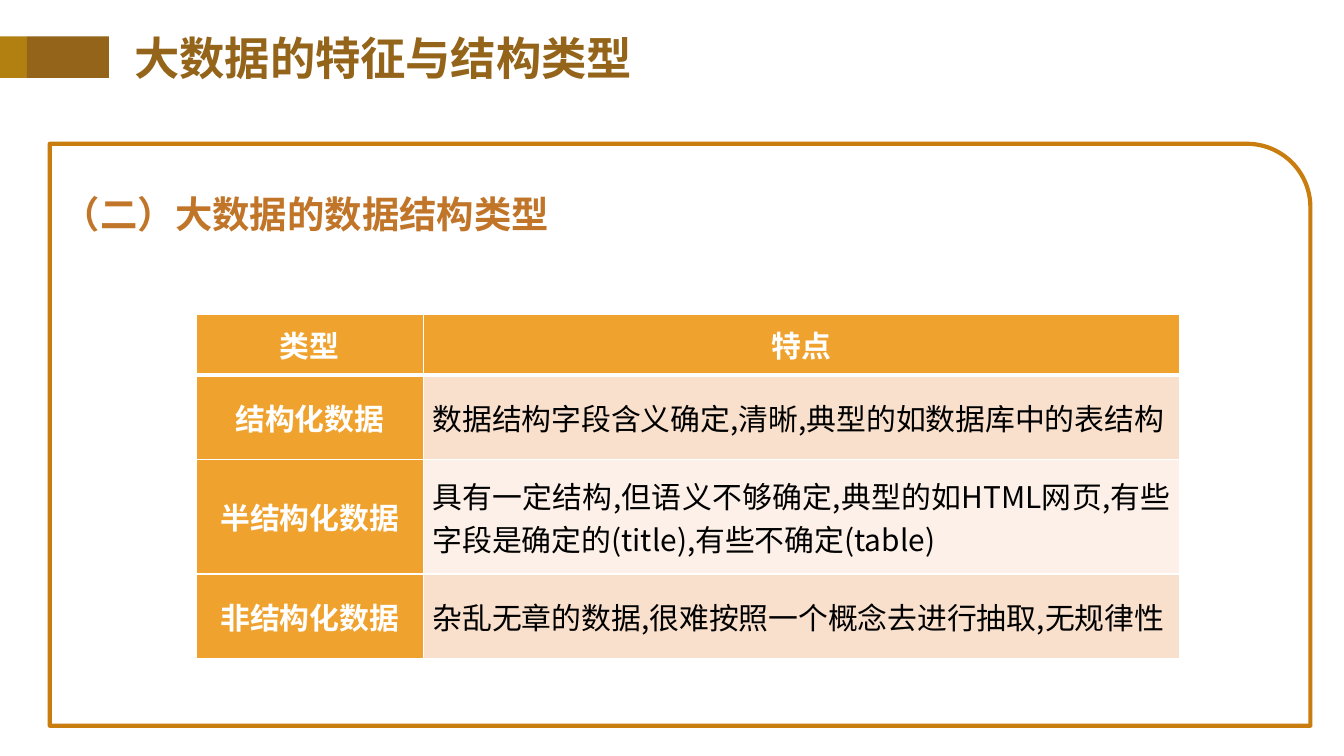
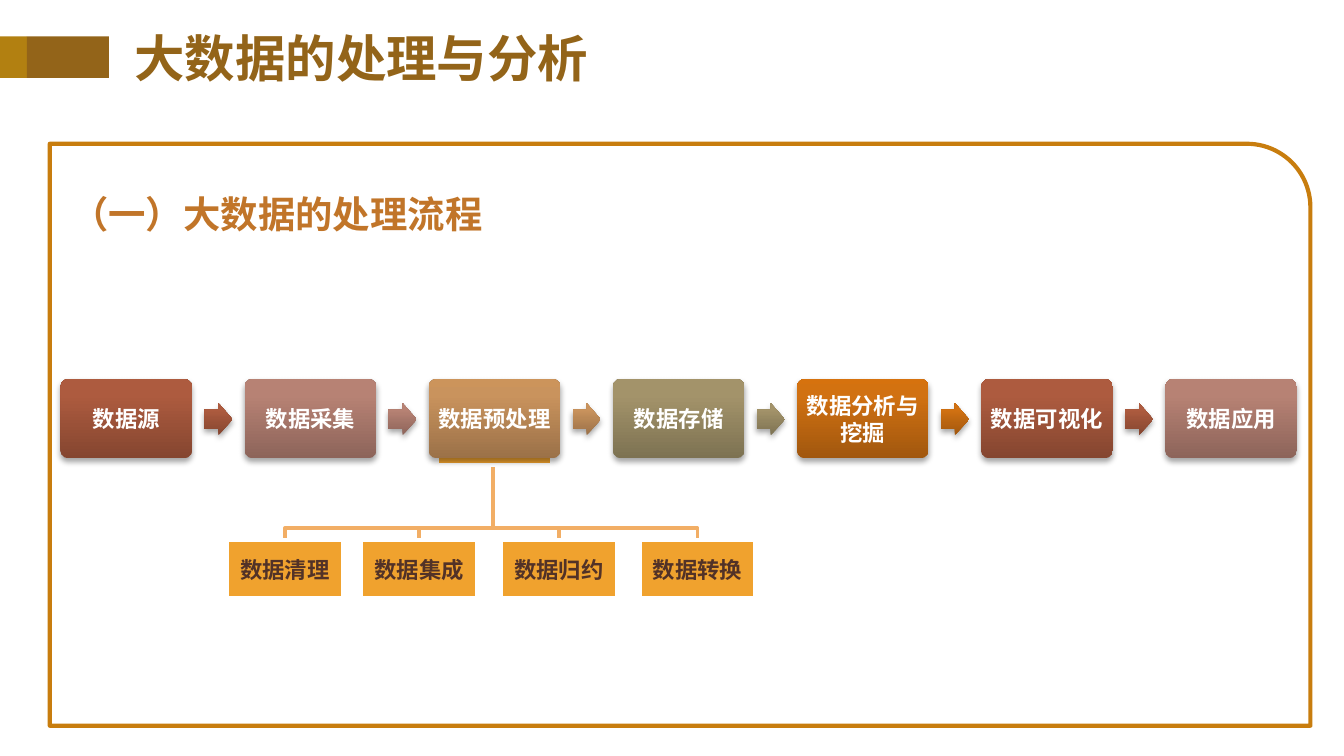
"""Build two slides on big data structure types and processing flow."""
import pptx
import pptx.util
import pptx.dml.color
import pptx.enum.shapes
import pptx.enum.text
import pptx.oxml
import pptx.oxml.ns
from lxml import etree

Inches, Pt = pptx.util.Inches, pptx.util.Pt
Shape = pptx.enum.shapes.MSO_SHAPE
Align = pptx.enum.text.PP_ALIGN
Anchor = pptx.enum.text.MSO_ANCHOR
qn = pptx.oxml.ns.qn

FONT = "Noto Sans CJK SC"
COLORS = {
    "gold": "B28011", "brown": "936419", "frame": "C87D0E", "heading": "C17529",
    "amber": "F0A22E", "branch": "F2AE65", "white": "FFFFFF", "black": "000000",
    "dark": "523227", "row_odd": "F9E0CD", "row_even": "FCF0E8",
}
GRADIENTS = [
    ("854630", "AD5B3F", "AF5A3D"),
    ("8D645A", "B78274", "B98274"),
    ("9B7148", "C9935D", "CC945B"),
    ("7D7252", "A3936A", "A49569"),
    ("A1570E", "D17112", "D6720E"),
]

STRUCTURE_TITLE = ("大数据的特征与结构类型", 24.3)
STRUCTURE_HEADING = "（二）大数据的数据结构类型"
STRUCTURE_TYPES = [
    ("类型", "特点"),
    ("结构化数据", "数据结构字段含义确定,清晰,典型的如数据库中的表结构"),
    ("半结构化数据", "具有一定结构,但语义不够确定,典型的如HTML网页,"
                 "有些字段是确定的(title),有些不确定(table)"),
    ("非结构化数据", "杂乱无章的数据,很难按照一个概念去进行抽取,无规律性"),
]
COLUMN_WIDTHS = [1.69, 5.63]
ROW_HEIGHTS = [0.45, 0.63, 0.85, 0.63]

PROCESS_TITLE = ("大数据的处理与分析", 27)
PROCESS_HEADING = "（一）大数据的处理流程"
STEPS = ["数据源", "数据采集", "数据预处理", "数据存储",
         "数据分析与挖掘", "数据可视化", "数据应用"]
PREPARATIONS = [("数据清理", 1.69), ("数据集成", 2.69),
                ("数据归约", 3.73), ("数据转换", 4.76)]
STEP_LEFT, STEP_TOP, STEP_PITCH = 0.45, 2.82, 1.37
STEP_WIDTH, STEP_HEIGHT = 0.98, 0.59
TASK_WIDTH, TASK_HEIGHT, TASK_TOP = 0.86, 0.43, 4.02
TRUNK_X, TRUNK_TOP, FORK_Y = 3.67, 3.46, 3.93


def rgb(name):
    return pptx.dml.color.RGBColor.from_string(COLORS[name])


def write(frame, text, size, color, bold=True, align=Align.LEFT,
          anchor=Anchor.MIDDLE):
    frame.text = text
    frame.word_wrap = True
    frame.vertical_anchor = anchor
    style(frame.paragraphs[0], size, color, bold, align)


def style(paragraph, size, color, bold, align):
    paragraph.alignment = align
    font = paragraph.font
    font.name, font.size, font.bold = FONT, Pt(size), bold
    font.color.rgb = rgb(color)
    defaults = paragraph._p.pPr.find(qn("a:defRPr"))
    etree.SubElement(defaults, qn("a:ea"), typeface=FONT)


def set_insets(frame, inset):
    frame.margin_left = frame.margin_right = Inches(inset)
    frame.margin_top = frame.margin_bottom = Inches(inset)


def add_box(slide, kind, box, fill=None, line=None, line_width=2):
    shape = slide.shapes.add_shape(kind, *map(Inches, box))
    shape.shadow.inherit = False
    paint(shape, fill, line, line_width)
    return shape


def paint(shape, fill, line, line_width):
    if fill:
        shape.fill.solid()
        shape.fill.fore_color.rgb = rgb(fill)
    else:
        shape.fill.background()
    if line:
        shape.line.color.rgb = rgb(line)
        shape.line.width = Pt(line_width)
    else:
        shape.line.fill.background()


def add_raised(slide, kind, box, gradient):
    shape = add_box(slide, kind, box)
    properties = shape._element.spPr
    stops = "".join(
        f'<a:gs pos="{position}"><a:srgbClr val="{color}"/></a:gs>'
        for position, color in zip((0, 80000, 100000), gradient))
    namespace = pptx.oxml.ns.nsdecls("a")
    properties.replace(properties.find(qn("a:noFill")), pptx.oxml.parse_xml(
        f'<a:gradFill {namespace} rotWithShape="1"><a:gsLst>{stops}</a:gsLst>'
        '<a:lin ang="16200000" scaled="0"/></a:gradFill>'))
    properties.find(qn("a:effectLst")).append(pptx.oxml.parse_xml(
        f'<a:outerShdw {namespace} blurRad="{Pt(3.1)}" dist="{Pt(1.8)}" '
        'dir="5400000" rotWithShape="0"><a:srgbClr val="000000">'
        '<a:alpha val="35000"/></a:srgbClr></a:outerShdw>'))
    return shape


def add_page(deck, title, heading, heading_margin):
    slide = deck.slides.add_slide(deck.slide_layouts[5])
    add_box(slide, Shape.RECTANGLE, (-0.01, 0.27, 0.21, 0.31), "gold")
    add_box(slide, Shape.RECTANGLE, (0.2, 0.27, 0.61, 0.31), "brown")
    name = slide.shapes.title
    name.left, name.top, name.width, name.height = map(Inches, (0.9, 0.13, 4.18, 0.6))
    write(name.text_frame, *title, "brown")
    name.text_frame.auto_size = pptx.enum.text.MSO_AUTO_SIZE.NONE
    frame = add_box(slide, Shape.ROUND_1_RECTANGLE, (0.37, 1.07, 9.38, 4.33),
                    line="frame", line_width=2.25)
    frame.adjustments[0] = 0.109
    label = slide.shapes.add_textbox(*map(Inches, (0.37, 1.37, 9.38, 0.49)))
    write(label.text_frame, heading, 20, "heading", anchor=Anchor.TOP)
    label.text_frame.margin_left = Inches(heading_margin)
    return slide


def add_borders(cell, top, bottom):
    properties = cell._tc.get_or_add_tcPr()
    for side, width in (("L", 1), ("R", 1), ("T", top), ("B", bottom)):
        line = etree.SubElement(properties, qn(f"a:ln{side}"), w=str(Pt(width)))
        fill = etree.SubElement(line, qn("a:solidFill"))
        etree.SubElement(fill, qn("a:srgbClr"), val=COLORS["white"])


def add_types_table(slide):
    table = slide.shapes.add_table(
        len(STRUCTURE_TYPES), len(COLUMN_WIDTHS), Inches(1.46), Inches(2.34),
        Inches(sum(COLUMN_WIDTHS)), Inches(sum(ROW_HEIGHTS))).table
    for column, width in zip(table.columns, COLUMN_WIDTHS):
        column.width = Inches(width)
    for r, (texts, height) in enumerate(zip(STRUCTURE_TYPES, ROW_HEIGHTS)):
        table.rows[r].height = Inches(height)
        for c, text in enumerate(texts):
            cell = table.cell(r, c)
            is_label = r == 0 or c == 0
            cell.text = text
            cell.vertical_anchor = Anchor.MIDDLE
            cell.margin_left = cell.margin_right = Inches(0.07)
            cell.margin_top = cell.margin_bottom = 0
            style(cell.text_frame.paragraphs[0], 16,
                  "white" if is_label else "black", is_label,
                  Align.CENTER if is_label else Align.JUSTIFY)
            add_borders(cell, 3 if r == 1 else 1, 3 if r == 0 else 1)
            cell.fill.solid()
            band = "row_odd" if r % 2 else "row_even"
            cell.fill.fore_color.rgb = rgb("amber" if is_label else band)


def add_preparations(slide):
    for _, left in PREPARATIONS:
        center = left + TASK_WIDTH / 2
        builder = slide.shapes.build_freeform(
            Inches(TRUNK_X), Inches(TRUNK_TOP), scale=1.0)
        builder.add_line_segments(
            [(Inches(x), Inches(y)) for x, y in
             ((TRUNK_X, FORK_Y), (center, FORK_Y), (center, TASK_TOP))],
            close=False)
        branch = builder.convert_to_shape()
        branch.shadow.inherit = False
        paint(branch, None, "branch", 2)
    add_box(slide, Shape.RECTANGLE, (3.25, 3.03, TASK_WIDTH, TASK_HEIGHT),
            "amber", "white")
    for text, left in PREPARATIONS:
        task = add_box(slide, Shape.RECTANGLE,
                       (left, TASK_TOP, TASK_WIDTH, TASK_HEIGHT), "amber", "white")
        write(task.text_frame, text, 12, "dark", align=Align.CENTER)
        set_insets(task.text_frame, 0.01)


def add_steps(slide):
    for i, text in enumerate(STEPS):
        left = STEP_LEFT + i * STEP_PITCH
        gradient = GRADIENTS[i % len(GRADIENTS)]
        step = add_raised(slide, Shape.ROUNDED_RECTANGLE,
                          (left, STEP_TOP, STEP_WIDTH, STEP_HEIGHT), gradient)
        step.adjustments[0] = 0.1
        write(step.text_frame, text, 12, "white", align=Align.CENTER)
        set_insets(step.text_frame, 0.05)
        if i < len(STEPS) - 1:
            arrow = add_raised(slide, Shape.RIGHT_ARROW,
                               (left + 1.07, 3, 0.21, 0.24), gradient)
            arrow.adjustments[0] = 0.6


def main():
    deck = pptx.Presentation()
    deck.slide_width = Inches(10)
    deck.slide_height = deck.slide_width * 9 // 16
    add_types_table(add_page(deck, STRUCTURE_TITLE, STRUCTURE_HEADING, 0.1))
    process = add_page(deck, PROCESS_TITLE, PROCESS_HEADING, 0.16)
    add_preparations(process)
    add_steps(process)
    deck.save("out.pptx")


if __name__ == "__main__":
    main()
